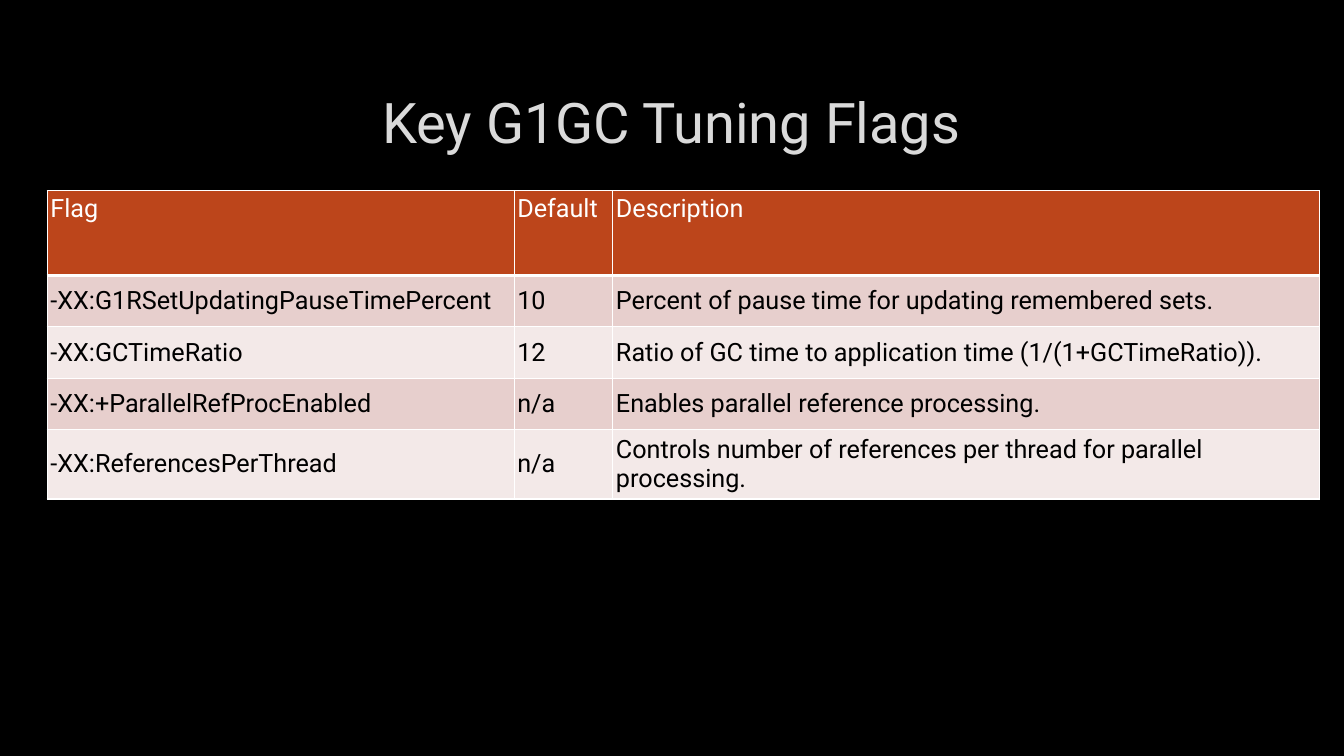
from dataclasses import dataclass

from lxml import etree
from pptx import Presentation
from pptx.dml.color import RGBColor
from pptx.enum.text import MSO_ANCHOR, MSO_AUTO_SIZE, PP_ALIGN
from pptx.oxml.ns import qn
from pptx.util import Pt

TOP, MIDDLE = MSO_ANCHOR.TOP, MSO_ANCHOR.MIDDLE
CENTER = PP_ALIGN.CENTER
NO_AUTOFIT = MSO_AUTO_SIZE.NONE
TITLE_ONLY = 5


@dataclass(frozen=True)
class Theme:
    font: str = "Roboto"
    title_size: int = 40
    table_size: int = 18
    background: str = "000000"
    title: str = "DADADA"
    header_fill: str = "BC451B"
    header_text: str = "FFFFFF"
    body_text: str = "000000"
    bands: tuple = ("E7CFCD", "F3E9E8")
    border: str = "FFFFFF"
    border_width: float = 1
    header_rule: float = 3


class SlideBuilder:
    def __init__(self, prs, theme):
        self.theme = theme
        self.slide = prs.slides.add_slide(prs.slide_layouts[TITLE_ONLY])
        self.fill(self.slide.background, theme.background)

    def fill(self, target, color):
        target.fill.solid()
        target.fill.fore_color.rgb = RGBColor.from_string(color)

    def style(self, p, size, color):
        p.font.name = self.theme.font
        p.font.size = Pt(size)
        p.font.bold = False
        p.font.color.rgb = RGBColor.from_string(color)

    def title(self, text, x, y, w, h):
        sp = self.slide.shapes.title
        sp.left, sp.top, sp.width, sp.height = Pt(x), Pt(y), Pt(w), Pt(h)
        tf = sp.text_frame
        tf.text = text
        tf.auto_size = NO_AUTOFIT
        tf.vertical_anchor = MIDDLE
        p = tf.paragraphs[0]
        p.alignment = CENTER
        self.style(p, self.theme.title_size, self.theme.title)

    def borders(self, cell, top, bottom):
        tc_pr = cell._tc.get_or_add_tcPr()
        widths = {"L": self.theme.border_width, "R": self.theme.border_width,
                  "T": top, "B": bottom}
        # Border lines come before the fill in the cell properties
        for i, (side, width) in enumerate(widths.items()):
            ln = etree.Element(qn(f"a:ln{side}"), w=str(Pt(width)))
            solid = etree.SubElement(ln, qn("a:solidFill"))
            etree.SubElement(solid, qn("a:srgbClr"), val=self.theme.border)
            tc_pr.insert(i, ln)

    def cell(self, cell, text, row):
        t = self.theme
        header = row == 0
        cell.text = text
        cell.vertical_anchor = TOP if header else MIDDLE
        cell.margin_left = cell.margin_right = Pt(2.25)
        cell.margin_top = cell.margin_bottom = Pt(2.25 if header else 3.6)
        self.fill(cell, t.header_fill if header else t.bands[(row - 1) % 2])
        self.style(cell.text_frame.paragraphs[0], t.table_size,
                   t.header_text if header else t.body_text)
        self.borders(cell,
                     top=t.header_rule if row == 1 else t.border_width,
                     bottom=t.header_rule if header else t.border_width)

    def table(self, rows, x, y, col_widths, header_height, row_height):
        heights = [header_height] + [row_height] * (len(rows) - 1)
        table = self.slide.shapes.add_table(
            len(rows), len(col_widths), Pt(x), Pt(y),
            Pt(sum(col_widths)), Pt(sum(heights))).table
        for column, width in zip(table.columns, col_widths):
            column.width = Pt(width)
        for r, (values, height) in enumerate(zip(rows, heights)):
            table.rows[r].height = Pt(height)
            for c, text in enumerate(values):
                self.cell(table.cell(r, c), text, r)


FLAGS = [
    ("Flag", "Default", "Description"),
    ("-XX:G1RSetUpdatingPauseTimePercent", "10",
     "Percent of pause time for updating remembered sets."),
    ("-XX:GCTimeRatio", "12",
     "Ratio of GC time to application time (1/(1+GCTimeRatio))."),
    ("-XX:+ParallelRefProcEnabled", "n/a",
     "Enables parallel reference processing."),
    ("-XX:ReferencesPerThread", "n/a",
     "Controls number of references per thread for parallel processing."),
]


def main():
    prs = Presentation()
    prs.slide_width, prs.slide_height = Pt(960), Pt(540)
    s = SlideBuilder(prs, Theme())

    # Title
    s.title("Key G1GC Tuning Flags", 72, 48.5, 815, 76)

    # Table of flags
    s.table(FLAGS, 33.75, 136.25, col_widths=(333.5, 70.5, 504.5),
            header_height=60.5, row_height=36.75)

    prs.save("out.pptx")


if __name__ == "__main__":
    main()
